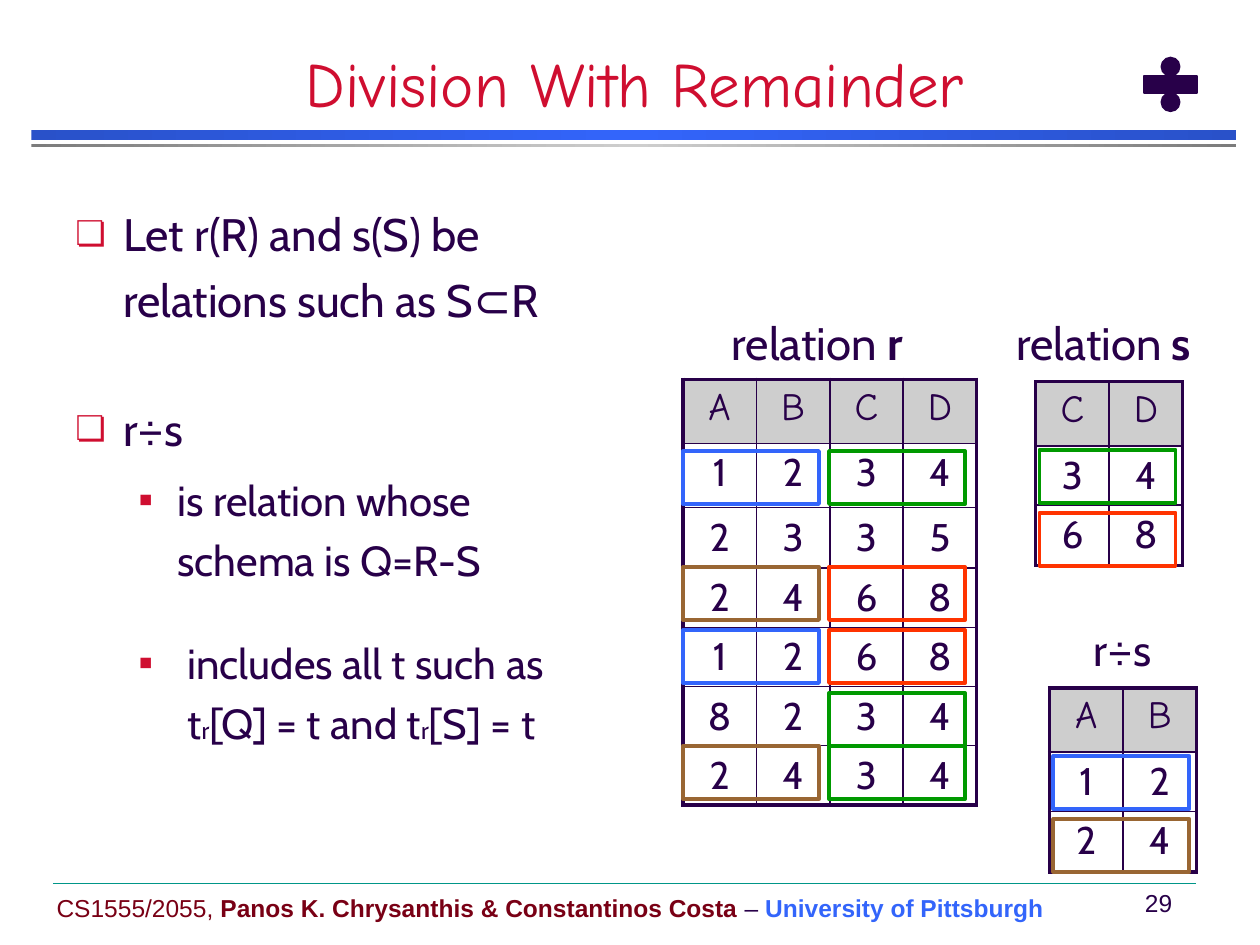
from copy import deepcopy
from dataclasses import dataclass
from typing import Optional

from lxml import etree
from pptx import Presentation, util as u
from pptx.dml.color import RGBColor
from pptx.enum import shapes, text
from pptx.oxml.ns import qn

INK, RED, BLUE, BROWN = "280049", "CF0E30", "3365FB", "996633"
GREEN, ORANGE, GREY, MAROON = "009900", "FF3300", "CECECE", "790015"
THICK, THIN = 2.25, 1
CENTER = text.PP_ALIGN.CENTER


@dataclass
class Run:
    text: str
    size: float
    font: str = "Cabin"
    color: str = INK
    bold: bool = False
    baseline: Optional[int] = None


@dataclass
class Label:
    box: tuple
    runs: list
    para: dict
    anchor: int = text.MSO_ANCHOR.TOP


@dataclass
class Bullet:
    char: str
    scale: int
    margin: float
    indent: float
    before: float
    runs: list


@dataclass
class Relation:
    x: float
    y: float
    heights: list
    rows: list


@dataclass
class Highlight:
    color: str
    x: float
    tops: list


def rgb(value: str) -> RGBColor:
    return RGBColor.from_string(value)


def inches(values) -> list:
    return [u.Inches(v) for v in values]


def set_all(target, values: dict) -> None:
    for name, value in values.items():
        setattr(target, name, value)


def add_runs(p, runs: list) -> None:
    for run in runs:
        r = p.add_run()
        r.text = run.text
        set_all(r.font, {"size": u.Pt(run.size), "name": run.font, "bold": run.bold})
        r.font.color.rgb = rgb(run.color)
        if run.baseline is not None:
            r.font._element.set("baseline", str(run.baseline))


def add_label(s, label: Label) -> None:
    tf = s.shapes.add_textbox(*inches(label.box)).text_frame
    set_all(tf, {"word_wrap": False, "vertical_anchor": label.anchor})
    p = tf.paragraphs[0]
    set_all(p, label.para)
    add_runs(p, label.runs)


def add_bullets(s, box: tuple, bullets: list) -> None:
    tf = s.shapes.add_textbox(*inches(box)).text_frame
    tf.word_wrap = True
    for i, b in enumerate(bullets):
        p = tf.add_paragraph() if i else tf.paragraphs[0]
        set_all(p, {"line_spacing": 1.2, "space_before": u.Pt(b.before)})
        pPr = p._p.get_or_add_pPr()
        pPr.set("marL", str(u.Inches(b.margin)))
        pPr.set("indent", str(u.Inches(-b.indent)))
        color = etree.SubElement(pPr, qn("a:buClr"))
        etree.SubElement(color, qn("a:srgbClr"), val=RED)
        etree.SubElement(pPr, qn("a:buSzPct"), val=str(b.scale * 1000))
        etree.SubElement(pPr, qn("a:buFont"), typeface="Arial")
        etree.SubElement(pPr, qn("a:buChar"), char=b.char)
        for n, line in enumerate(b.runs):
            if n:
                p.add_line_break()
            add_runs(p, line)


def add_shape(s, kind, box: tuple, fill: Optional[str], line: Optional[str], width: float = 1):
    sp = s.shapes.add_shape(kind, *inches(box))
    sp.shadow.inherit = False
    for part, color in ((sp.fill, fill), (sp.line.fill, line)):
        if color:
            part.solid()
            part.fore_color.rgb = rgb(color)
        else:
            part.background()
    if line:
        sp.line.width = u.Pt(width)
    return sp


def add_gradient_bar(s, box: tuple, edge: str, middle: str) -> None:
    sp = add_shape(s, shapes.MSO_SHAPE.RECTANGLE, box, None, None)
    sp.fill.gradient()
    sp.fill.gradient_angle = 0
    stops = sp._element.spPr.find(qn("a:gradFill")).find(qn("a:gsLst"))
    stops.insert(1, deepcopy(stops[0]))
    for stop, color, place in zip(sp.fill.gradient_stops, (edge, middle, edge), (0, 0.5, 1)):
        stop.color.rgb = rgb(color)
        stop.position = place


def add_borders(cell, widths: dict) -> None:
    tcPr = cell._tc.get_or_add_tcPr()
    for i, (side, width) in enumerate(widths.items()):
        ln = etree.Element(qn("a:" + side), w=str(u.Pt(width)))
        fill = etree.SubElement(ln, qn("a:solidFill"))
        etree.SubElement(fill, qn("a:srgbClr"), val=INK)
        tcPr.insert(i, ln)


def add_relation(s, rel: Relation) -> None:
    n_rows, n_cols, col = len(rel.rows), len(rel.rows[0]), 0.583
    box = inches((rel.x, rel.y, n_cols * col, sum(rel.heights)))
    table = s.shapes.add_table(n_rows, n_cols, *box).table
    set_all(table, {"first_row": False, "horz_banding": False})
    for column in table.columns:
        column.width = u.Inches(col)
    for i, values in enumerate(rel.rows):
        table.rows[i].height = u.Inches(rel.heights[i])
        for j, value in enumerate(values):
            cell = table.cell(i, j)
            if i:
                cell.fill.background()
            else:
                cell.fill.solid()
                cell.fill.fore_color.rgb = rgb(GREY)
            p = cell.text_frame.paragraphs[0]
            p.alignment = CENTER
            add_runs(p, [Run(value, 22, "Cabin" if i else "Comic Neue")])
            outer = {"lnL": j == 0, "lnR": j == n_cols - 1, "lnT": i == 0, "lnB": i == n_rows - 1}
            add_borders(cell, {k: THICK if edge else THIN for k, edge in outer.items()})


prs = Presentation()
set_all(prs, {"slide_width": u.Inches(10), "slide_height": u.Inches(7.5)})
s = prs.slides.add_slide(prs.slide_layouts[6])

# Title rule and footer line
add_gradient_bar(s, (0.25, 1.03, 9.56, 0.08), "2951C9", BLUE)
add_gradient_bar(s, (0.25, 1.14, 9.56, 0.03), "7C7C7C", GREY)
rule = s.shapes.add_connector(shapes.MSO_CONNECTOR.STRAIGHT, *inches((0.42, 7.01, 9.49, 7.01)))
rule.line.color.rgb = rgb("009688")
rule.line.width = u.Pt(0.25)
etree.SubElement(rule._element.spPr, qn("a:effectLst"))

# Title, footer and table captions
footer = [Run("CS1555/2055, ", 14, "Arial", MAROON),
          Run("Panos K. Chrysanthis & Constantinos Costa", 14, "Arial", MAROON, True),
          Run(" – ", 14, "Arial"),
          Run("University of Pittsburgh", 14, "Arial", BLUE, True)]
centred, tight = {"alignment": CENTER}, {"line_spacing": 0.9}
MIDDLE, BOTTOM = text.MSO_ANCHOR.MIDDLE, text.MSO_ANCHOR.BOTTOM
for label in (
    Label((0.09, 0.42, 9.9, 0.58), [Run("Division With Remainder", 36, "Comic Neue", RED)], centred, BOTTOM),
    Label((0.35, 7.04, 8.11, 0.33), footer, {}, MIDDLE),
    Label((8.95, 7, 0.49, 0.33), [Run("29", 14, "Arial")], centred, MIDDLE),
    Label((5.71, 2.5, 1.66, 0.53), [Run("relation ", 26), Run("r", 26, bold=True)], tight),
    Label((7.97, 2.5, 1.69, 0.53), [Run("relation ", 26), Run("s", 26, bold=True)], tight),
    Label((8.58, 4.94, 0.67, 0.52), [Run("r÷s", 25)], tight),
):
    add_label(s, label)

# Definition of division
sub = Run("r", 24, baseline=-25)
condition = [Run("t", 24), sub, Run("[Q] = t and t", 24), sub, Run("[S] = t", 24)]
add_bullets(s, (0.5, 1.5, 4.42, 5), [
    Bullet("❏", 75, 0.38, 0.38, 0, [[Run("Let r(R) and s(S) be relations such as S⊂R", 26)]]),
    Bullet("❏", 75, 0.38, 0.38, 36.5, [[Run("r÷s", 26)]]),
    Bullet("▪", 100, 0.81, 0.31, 5, [[Run("is relation whose schema is Q=R-S", 24)]]),
    Bullet("▪", 100, 0.89, 0.39, 24, [[Run("includes all t such as", 24)], condition]),
])

# Relations r, s and their quotient
for relation in (
    Relation(5.42, 3.01, [0.51, 0.51, 0.48] + [0.47] * 4,
             ["ABCD", "1234", "2335", "2468", "1268", "8234", "2434"]),
    Relation(8.22, 3.03, [0.51, 0.47, 0.48], ["CD", "34", "68"]),
    Relation(8.33, 5.46, [0.51, 0.47, 0.48], ["AB", "12", "24"]),
):
    add_relation(s, relation)

# Frames around matching tuples
for frame in (
    Highlight(ORANGE, 8.25, [4.07]), Highlight(GREEN, 8.25, [3.57]),
    Highlight(ORANGE, 6.58, [4.5, 5]), Highlight(GREEN, 6.58, [3.58, 5.5, 5.92]),
    Highlight(BLUE, 5.42, [3.58, 5]), Highlight(BROWN, 5.42, [4.5, 5.92]),
    Highlight(BROWN, 8.36, [6.5]), Highlight(BLUE, 8.36, [6]),
):
    for top in frame.tops:
        add_shape(s, shapes.MSO_SHAPE.RECTANGLE, (frame.x, top, 1.08, 0.42), None, frame.color, THICK)

# Division sign
sign = add_shape(s, shapes.MSO_SHAPE.MATH_DIVIDE, (9, 0.38, 0.58, 0.58), INK, INK)
for i, value in enumerate((0.235, 0.059, 0.125)):
    sign.adjustments[i] = value

prs.save("out.pptx")
